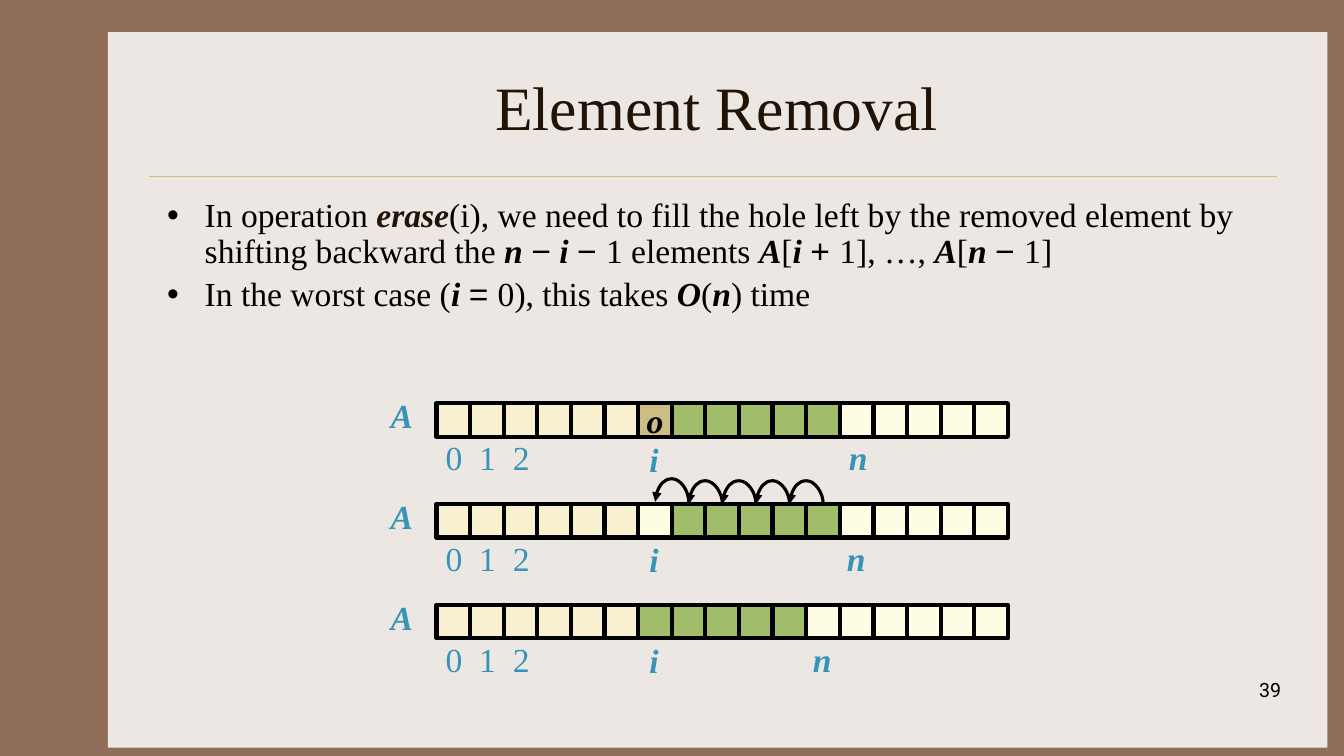
import pptx
import pptx.dml.color
import pptx.enum.shapes
import pptx.enum.text
import pptx.oxml
import pptx.oxml.ns
import pptx.util
from pptx.util import Cm

SERIF = "Times New Roman"
INK, TITLE, LABEL = "000000", "221304", "3694B6"
USED, SHIFTED, REMOVED, FREE = "F8F0D0", "A1BD69", "CBBD83", "FEFDE3"
ROW_LEFT, ROW_TOP, ROW_PITCH = 11.0, 10.16, 2.54
CELL = 14.4 / 17
HOLE = 6  # index of the removed element

ALIGN = pptx.enum.text.PP_ALIGN
ANCHOR = pptx.enum.text.MSO_ANCHOR

VAR = dict(bold=True, italic=True)
SIGN = dict(font="Arial")
BULLETS = [
    [("In operation ", {}), ("erase", dict(VAR, color=TITLE)),
     ("(i), we need to fill the hole left by the removed element by "
      "shifting backward the ", {}),
     ("n ", VAR), ("−", SIGN), (" i ", VAR), ("− ", SIGN), ("1 elements ", {}),
     ("A", VAR), ("[", {}), ("i ", VAR), ("+ ", SIGN), ("1], …, ", {}),
     ("A", VAR), ("[", {}), ("n ", VAR), ("− ", SIGN), ("1]", {})],
    [("In the worst case (", {}), ("i ", VAR), ("= ", SIGN),
     ("0), this takes ", {}), ("O", VAR), ("(", {}), ("n", VAR), (") time", {})],
]


def rgb(color):
    return pptx.dml.color.RGBColor.from_string(color)


def sub(parent, tag, **attrs):
    """Append a DrawingML child element."""
    e = pptx.oxml.parse_xml(f"<a:{tag} {pptx.oxml.ns.nsdecls('a')}/>")
    for name, value in attrs.items():
        e.set(name, value)
    parent.append(e)
    return e


def add_run(p, text, size=24, font=SERIF, color=INK, bold=False, italic=False):
    r = p.add_run()
    r.text = text
    r.font.size = pptx.util.Pt(size)
    r.font.name = font
    r.font.color.rgb = rgb(color)
    r.font.bold, r.font.italic = bold, italic


def add_textbox(shapes, x, y, w, h, wrap=True, inset=None):
    tf = shapes.add_textbox(Cm(x), Cm(y), Cm(w), Cm(h)).text_frame
    tf.word_wrap = wrap
    if inset is not None:
        tf.margin_left = tf.margin_right = Cm(inset)
        tf.margin_top = tf.margin_bottom = Cm(inset)
    return tf


def add_label(shapes, text, x, y, w=0.8, align=ALIGN.CENTER, wrap=True, **fmt):
    tf = add_textbox(shapes, x, y, w, 1.02, wrap, inset=0)
    p = tf.paragraphs[0]
    p.alignment = align
    add_run(p, text, color=LABEL, **fmt)


def add_rect(shapes, x, y, w, h, fill, border=None):
    sp = shapes.add_shape(pptx.enum.shapes.MSO_SHAPE.RECTANGLE,
                          Cm(x), Cm(y), Cm(w), Cm(h))
    sp.shadow.inherit = False
    sp.fill.solid()
    sp.fill.fore_color.rgb = rgb(fill)
    if border:
        sp.line.color.rgb = rgb(INK)
        sp.line.width = pptx.util.Pt(border)
    else:
        sp.line.fill.background()
    return sp


def add_line(shapes, kind, x1, y1, x2, y2, color, width):
    c = shapes.add_connector(kind, Cm(x1), Cm(y1), Cm(x2), Cm(y2))
    c.line.color.rgb = rgb(color)
    c.line.width = pptx.util.Pt(width)
    sub(c._element.spPr, "effectLst")
    return c


def add_shift_arrow(shapes, index, y):
    """Arc from the centre of cell index + 1 back to the centre of cell index."""
    x, thickness = ROW_LEFT + (index + 1) * CELL, 0.01
    c = add_line(shapes, pptx.enum.shapes.MSO_CONNECTOR.CURVE,
                 x, y + CELL / 2, x + thickness, y - CELL / 2, INK, 2.25)
    sppr = c._element.spPr
    sppr.xfrm.set("rot", "5400000")
    guides = sppr.find(pptx.oxml.ns.qn("a:prstGeom")).get_or_add_avLst()
    sub(guides, "gd", name="adj1", fmla="val -5800000")
    sub(c.line._get_or_add_ln(), "headEnd", type="triangle")


def add_array(s, row, fills, n_left):
    """Draw one state of array A with its labels; return its group's shapes."""
    shapes = s.shapes.add_group_shape().shapes
    top = ROW_TOP + row * ROW_PITCH
    add_label(shapes, "A", 9.73, top - 0.2, **VAR)
    for k in range(3):
        add_label(shapes, str(k), 11.23 + k * CELL, top + 0.86, w=0.43,
                  align=ALIGN.LEFT, wrap=False)
    add_label(shapes, "n", n_left, top + 0.86, **VAR)
    for k, fill in enumerate(fills):
        sp = add_rect(shapes, ROW_LEFT + k * CELL, top, CELL, CELL, fill, border=3)
        if fill == REMOVED:
            tf = sp.text_frame
            tf.word_wrap = False
            tf.vertical_anchor = ANCHOR.MIDDLE
            tf.paragraphs[0].alignment = ALIGN.CENTER
            add_run(tf.paragraphs[0], "o", **VAR)
    add_label(shapes, "i", ROW_LEFT + HOLE * CELL, top + 0.89, **VAR)
    return shapes


def add_bullets(s):
    tf = add_textbox(s.shapes, 3.96, 4.88, 28.22, 4.5)
    for k, runs in enumerate(BULLETS):
        p = tf.add_paragraph() if k else tf.paragraphs[0]
        p.line_spacing = 0.9
        if k:
            p.space_before = pptx.util.Pt(4.8)
        ppr = p._p.get_or_add_pPr()
        ppr.set("marL", str(Cm(0.95)))
        ppr.set("indent", str(-Cm(0.95)))
        sub(ppr, "buFont", typeface="Arial")
        sub(ppr, "buChar", char="•")
        for text, fmt in runs:
            add_run(p, text, **fmt)


def set_title(s, text):
    title = s.shapes.title
    title.left, title.top = Cm(3.96), Cm(1.07)
    title.width, title.height = Cm(28.22), Cm(3.18)
    title.text_frame.vertical_anchor = ANCHOR.MIDDLE
    p = title.text_frame.paragraphs[0]
    p.alignment = ALIGN.CENTER
    add_run(p, text, size=44, color=TITLE)


def main():
    prs = pptx.Presentation()
    prs.slide_width, prs.slide_height = Cm(33.87), Cm(19.05)
    s = prs.slides.add_slide(prs.slide_layouts[5])
    s.background.fill.solid()
    s.background.fill.fore_color.rgb = rgb("906D58")

    panel = add_rect(s.shapes, 2.72, 0.81, 30.73, 18.03, "EDE7E3")
    s.shapes.title._element.addprevious(panel._element)
    set_title(s, "Element Removal")
    add_line(s.shapes, pptx.enum.shapes.MSO_CONNECTOR.STRAIGHT,
             3.76, 4.45, 32.18, 4.45, "CBBD83", 0.25)
    add_bullets(s)

    p = add_textbox(s.shapes, 25.48, 16.97, 7.06, 1.27).paragraphs[0]
    p.alignment = ALIGN.RIGHT
    add_run(p, "39", size=14, font="Roboto")

    kept, moved, free = [USED] * HOLE, [SHIFTED] * 5, [FREE] * 5
    add_array(s, 0, kept + [REMOVED] + moved + free, 21.23)
    shifting = add_array(s, 1, kept + [FREE] + moved + free, 21.18)
    add_array(s, 2, kept + moved + [FREE] + free, 20.32)
    for k in range(len(moved)):
        add_shift_arrow(shifting, HOLE + k, ROW_TOP + ROW_PITCH - (0 if k else 0.05))

    prs.save("out.pptx")


if __name__ == "__main__":
    main()
